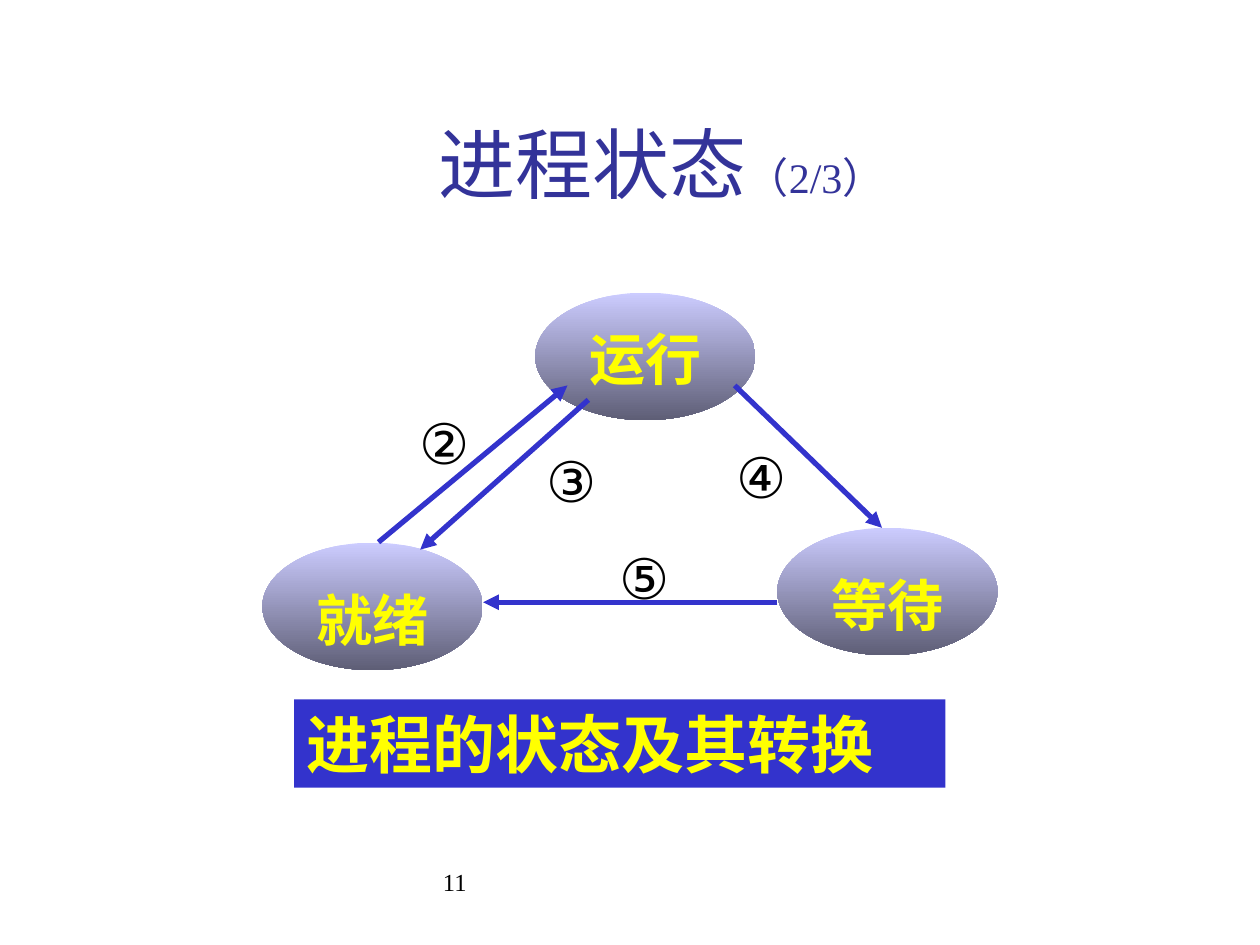
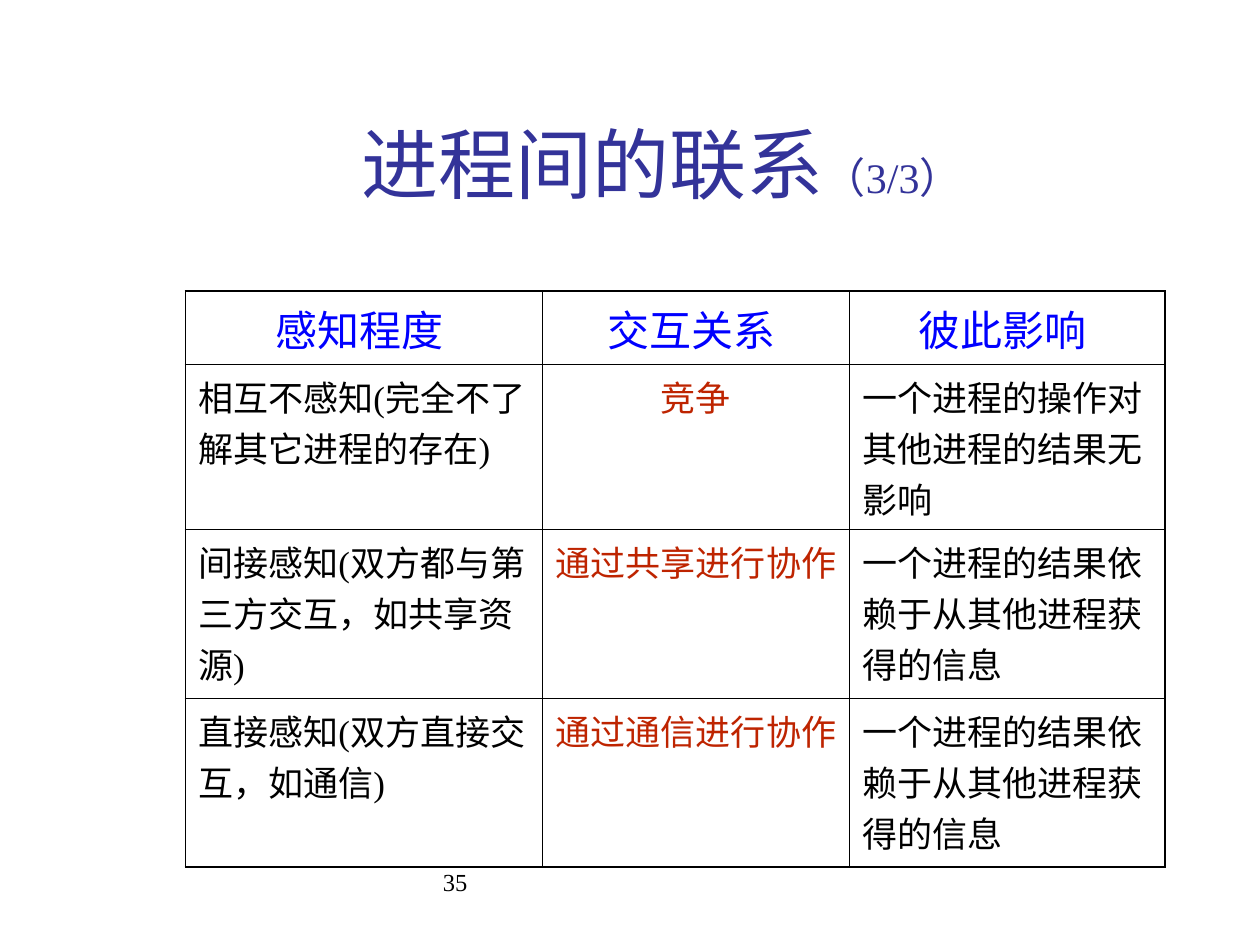
import dataclasses

import lxml.etree
import pptx
import pptx.dml.color
import pptx.enum.dml
import pptx.enum.shapes
import pptx.enum.text
import pptx.oxml
import pptx.oxml.ns
import pptx.util

Cm = pptx.util.Cm
Pt = pptx.util.Pt
qn = pptx.oxml.ns.qn
ALIGN = pptx.enum.text.PP_ALIGN


@dataclasses.dataclass(frozen=True)
class Theme:
    title: str = "333399"
    accent: str = "3333CC"
    highlight: str = "FFFF00"
    ink: str = "000000"
    header: str = "0000FF"
    relation: str = "BE2400"
    state_top: str = "CCCCFF"
    state_bottom: str = "5E5E76"
    sans: str = "Noto Sans CJK SC"
    serif: str = "Times New Roman"
    marker: str = "Arial"
    title_size: int = 44
    caption_size: int = 36
    state_size: int = 32
    header_size: int = 24
    body_size: int = 20
    number_size: int = 14
    arrow_width: float = 3
    outer_border: float = 1.08
    inner_border: float = 0.45


THEME = Theme()

STATE_SIZE = (4.44, 2.57)
STATES = [
    ("运行", 5.5, 0, 0.51),
    ("就绪", 0, 5.04, 0.74),
    ("等待", 10.38, 4.74, 0.74),
]
TRANSITIONS = [
    ("②", (2.34, 5.03), (6.15, 1.87), (2.92, 2.21)),
    ("③", (6.57, 2.16), (3.18, 5.18), (5.48, 2.97)),
    ("⑤", (10.38, 6.24), (4.45, 6.24), (6.94, 4.93)),
    ("④", (9.52, 1.87), (12.49, 4.74), (9.31, 2.89)),
]
AWARENESS = [
    ("感知程度 ", "交互关系 ", "彼此影响 "),
    ("相互不感知(完全不了解其它进程的存在)", "竞争",
     "一个进程的操作对其他进程的结果无影响"),
    ("间接感知(双方都与第三方交互，如共享资源)", "通过共享进行协作 ",
     "一个进程的结果依赖于从其他进程获得的信息"),
    ("直接感知(双方直接交互，如通信)", "通过通信进行协作 ",
     "一个进程的结果依赖于从其他进程获得的信息"),
]
COLUMN_WIDTHS = [7.19, 6.2, 6.35]
ROW_HEIGHTS = [1.48, 3.33, 3.4, 3.4]


def rgb(color):
    return pptx.dml.color.RGBColor.from_string(color)


def style_run(run, font, size, color, bold=False):
    run.font.name = font
    run.font.size = Pt(size)
    run.font.bold = bold
    run.font.color.rgb = rgb(color)
    east_asian_font = THEME.sans if font == THEME.serif else font
    east_asian = lxml.etree.Element(qn("a:ea"), typeface=east_asian_font)
    run.font._element.find(qn("a:latin")).addnext(east_asian)


def add_label(slide, text, box, font, size, color, bold=False, wrap=True):
    label = slide.shapes.add_textbox(*map(Cm, box))
    label.text_frame.word_wrap = wrap
    label.text_frame.text = text
    style_run(label.text_frame.paragraphs[0].runs[0], font, size, color, bold)


def add_framed_slide(deck, topic, part, topic_font, number):
    slide = deck.slides.add_slide(deck.slide_layouts[5])
    title = slide.shapes.title
    title.left, title.top, title.width, title.height = map(Cm, (2.54, 1.69, 21.59, 3.18))
    title.text_frame.vertical_anchor = pptx.enum.text.MSO_ANCHOR.MIDDLE
    heading = title.text_frame.paragraphs[0]
    heading.text = topic
    heading.alignment = ALIGN.CENTER
    style_run(heading.runs[0], topic_font, THEME.title_size, THEME.title)
    counter = heading.add_run()
    counter.text = part
    style_run(counter, THEME.serif, THEME.header_size, THEME.title)
    add_label(slide, number, (8.68, 17.35, 8.05, 1.27),
              THEME.serif, THEME.number_size, THEME.ink)
    return slide


def add_state(slide, left, top):
    state = slide.shapes.add_shape(
        pptx.enum.shapes.MSO_SHAPE.OVAL, *map(Cm, (left, top, *STATE_SIZE)))
    state.shadow.inherit = False
    state.line.fill.background()
    state.fill.gradient()
    state.fill.gradient_angle = 270
    for stop, color in zip(state.fill.gradient_stops,
                           (THEME.state_top, THEME.state_bottom)):
        stop.color.rgb = rgb(color)


def add_arrow(slide, start, end):
    arrow = slide.shapes.add_connector(
        pptx.enum.shapes.MSO_CONNECTOR.STRAIGHT, *map(Cm, (*start, *end)))
    arrow.line.color.rgb = rgb(THEME.accent)
    arrow.line.width = Pt(THEME.arrow_width)
    outline = arrow.line._get_or_add_ln()
    lxml.etree.SubElement(outline, qn("a:tailEnd"), type="triangle")
    lxml.etree.SubElement(arrow._element.spPr, qn("a:effectLst"))


def add_caption(slide, text, box):
    caption = slide.shapes.add_shape(
        pptx.enum.shapes.MSO_SHAPE.RECTANGLE, *map(Cm, box))
    caption.shadow.inherit = False
    caption.line.fill.background()
    caption.fill.solid()
    caption.fill.fore_color.rgb = rgb(THEME.accent)
    caption.text_frame.text = text
    caption.text_frame.vertical_anchor = pptx.enum.text.MSO_ANCHOR.TOP
    paragraph = caption.text_frame.paragraphs[0]
    paragraph.alignment = ALIGN.LEFT
    style_run(paragraph.runs[0], THEME.sans, THEME.caption_size, THEME.highlight, True)


def add_state_diagram(slide, left, top):
    def at(point):
        return left + point[0], top + point[1]

    for _, x, y, _ in STATES:
        add_state(slide, *at((x, y)))
    for name, x, y, drop in STATES:
        add_label(slide, name, (*at((x + 0.84, y + drop)), 2.97, 1.63),
                  THEME.serif, THEME.state_size, THEME.highlight, True)
    for _, start, end, _ in TRANSITIONS:
        add_arrow(slide, at(start), at(end))
    add_caption(slide, "进程的状态及其转换", (*at((0.64, 8.2)), 13.13, 1.78))
    for marker, _, _, spot in TRANSITIONS:
        add_label(slide, marker, (*at(spot), 1.5, 1.63),
                  THEME.marker, THEME.state_size, THEME.ink, wrap=False)


def set_borders(cell, row, column):
    on_edge = {
        "a:lnL": column == 0,
        "a:lnR": column == len(COLUMN_WIDTHS) - 1,
        "a:lnT": row == 0,
        "a:lnB": row == len(ROW_HEIGHTS) - 1,
    }
    properties = cell._tc.get_or_add_tcPr()
    for side, outer in on_edge.items():
        width = Pt(THEME.outer_border if outer else THEME.inner_border)
        border = lxml.etree.SubElement(properties, qn(side), w=str(int(width)))
        fill = lxml.etree.SubElement(border, qn("a:solidFill"))
        lxml.etree.SubElement(fill, qn("a:srgbClr"), val=THEME.ink)


def fill_cell(cell, text, size, color, centered):
    paragraph = cell.text_frame.paragraphs[0]
    paragraph.alignment = ALIGN.CENTER if centered else ALIGN.LEFT
    pieces = text.replace("(", "\n(\n").replace(")", "\n)").split("\n")
    for piece in pieces:
        run = paragraph.add_run()
        run.text = piece
        font = THEME.serif if piece in "()" else THEME.sans
        style_run(run, font, size, color)


def add_awareness_table(slide, left, top):
    frame = slide.shapes.add_table(
        len(ROW_HEIGHTS), len(COLUMN_WIDTHS),
        *map(Cm, (left, top, sum(COLUMN_WIDTHS), sum(ROW_HEIGHTS))))
    table = frame.table
    table.first_row = False
    table.horz_banding = False
    for column, width in zip(table.columns, COLUMN_WIDTHS):
        column.width = Cm(width)
    for row, height in zip(table.rows, ROW_HEIGHTS):
        row.height = Cm(height)
    body_colors = (THEME.ink, THEME.relation, THEME.ink)
    for r, texts in enumerate(AWARENESS):
        for c, text in enumerate(texts):
            cell = table.cell(r, c)
            set_borders(cell, r, c)
            cell.fill.background()
            if r == 0:
                fill_cell(cell, text, THEME.header_size, THEME.header, True)
            else:
                fill_cell(cell, text, THEME.body_size, body_colors[c], c == 1)


def main():
    deck = pptx.Presentation()
    deck.slide_width, deck.slide_height = Cm(25.4), Cm(19.05)
    states = add_framed_slide(deck, "进程状态", "（2/3）", THEME.sans, "11")
    add_state_diagram(states, 5.29, 5.9)
    relations = add_framed_slide(deck, "进程间的联系", "（3/3）", THEME.serif, "35")
    add_awareness_table(relations, 3.74, 5.87)
    deck.save("out.pptx")


if __name__ == "__main__":
    main()
